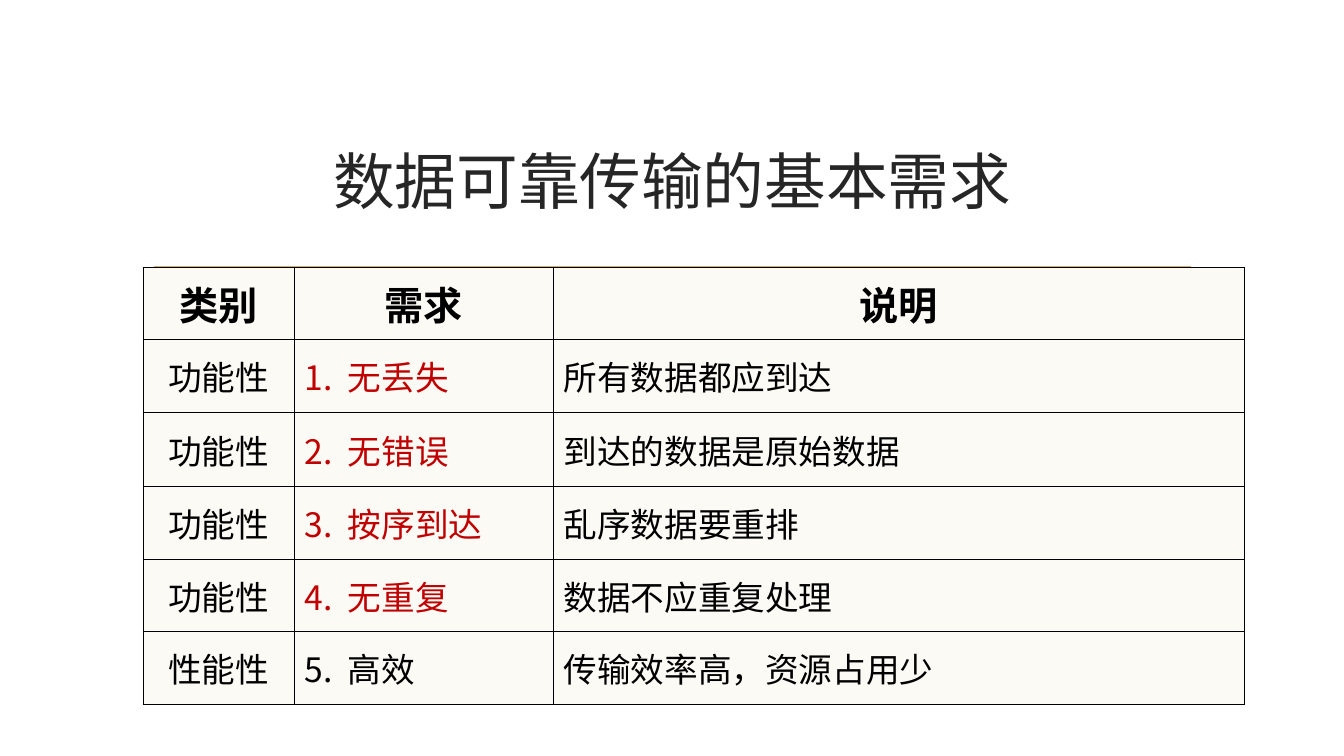
from dataclasses import dataclass

from lxml import etree
from pptx import Presentation
from pptx.dml.color import RGBColor
from pptx.enum.shapes import MSO_CONNECTOR
from pptx.enum.text import MSO_ANCHOR, PP_ALIGN
from pptx.oxml.ns import qn
from pptx.util import Inches, Pt

STRAIGHT = MSO_CONNECTOR.STRAIGHT
MIDDLE = MSO_ANCHOR.MIDDLE
CENTER, LEFT = PP_ALIGN.CENTER, PP_ALIGN.LEFT


@dataclass(frozen=True)
class Theme:
    font: str = "Noto Sans CJK SC"
    title: str = "262626"
    text: str = "000000"
    accent: str = "C00000"
    gold: str = "CBAF62"
    tint_percent: int = 6
    title_size: int = 44
    header_size: int = 28
    body_size: int = 24


THEME = Theme()

TITLE = "数据可靠传输的基本需求"
HEADER = ("类别", "需求", "说明")
REQUIREMENTS = [
    ("功能性", "无丢失", "所有数据都应到达"),
    ("功能性", "无错误", "到达的数据是原始数据"),
    ("功能性", "按序到达", "乱序数据要重排"),
    ("功能性", "无重复", "数据不应重复处理"),
    ("性能性", "高效", "传输效率高，资源占用少"),
]
COLUMN_WIDTHS = (1.5, 2.57, 6.85)
ROW_HEIGHTS = (0.72, 0.72, 0.74, 0.72, 0.72, 0.72)
NUMBER_TAB = 0.43


def write_text(tf, text, size, color=THEME.text, bold=False, align=LEFT, tab=None):
    """Fill the first paragraph of a text frame; tab is a tab stop in inches."""
    tf.word_wrap = True
    p = tf.paragraphs[0]
    p.alignment = align
    if tab:
        tabs = etree.SubElement(p._p.get_or_add_pPr(), qn("a:tabLst"))
        etree.SubElement(tabs, qn("a:tab"), pos=str(Inches(tab)), algn="l")
    r = p.add_run()
    r.text = text
    r.font.size = Pt(size)
    r.font.bold = bold
    r.font.color.rgb = RGBColor.from_string(color)
    r.font.name = THEME.font
    etree.SubElement(r._r.get_or_add_rPr(), qn("a:ea"), typeface=THEME.font)


def add_title(slide, text):
    sp = slide.shapes.add_textbox(Inches(1.42), Inches(1.07), Inches(10.5), Inches(1.43))
    sp.text_frame.vertical_anchor = MIDDLE
    write_text(sp.text_frame, text, THEME.title_size, color=THEME.title, align=CENTER)


def add_rule(slide):
    y = Inches(2.65)
    line = slide.shapes.add_connector(STRAIGHT, Inches(1.53), y, Inches(11.81), y)
    line.line.color.rgb = RGBColor.from_string(THEME.gold)
    line.line.width = Pt(1.25)
    etree.SubElement(line._element.spPr, qn("a:effectLst"))


def style_cell(cell):
    """Give a cell its translucent tint and thin borders."""
    cell.vertical_anchor = MIDDLE
    cell.fill.solid()
    cell.fill.fore_color.rgb = RGBColor.from_string(THEME.gold)
    tc_pr = cell._tc.get_or_add_tcPr()
    tint = tc_pr.find(".//" + qn("a:srgbClr"))
    etree.SubElement(tint, qn("a:alpha"), val=str(THEME.tint_percent * 1000))
    for i, side in enumerate(("lnL", "lnR", "lnT", "lnB")):
        border = etree.Element(qn(f"a:{side}"), w=str(Pt(1)))
        fill = etree.SubElement(border, qn("a:solidFill"))
        etree.SubElement(fill, qn("a:srgbClr"), val=THEME.text)
        tc_pr.insert(i, border)


def add_requirements_table(slide):
    table = slide.shapes.add_table(
        len(ROW_HEIGHTS), len(COLUMN_WIDTHS), Inches(1.42), Inches(2.65),
        Inches(sum(COLUMN_WIDTHS)), Inches(sum(ROW_HEIGHTS))).table
    table.horz_banding = False
    for column, width in zip(table.columns, COLUMN_WIDTHS):
        column.width = Inches(width)
    for row, height in zip(table.rows, ROW_HEIGHTS):
        row.height = Inches(height)
    for cell in table.iter_cells():
        style_cell(cell)

    for col, text in enumerate(HEADER):
        write_text(table.cell(0, col).text_frame, text, THEME.header_size,
                   bold=True, align=CENTER)
    for number, (category, need, detail) in enumerate(REQUIREMENTS, 1):
        category_tf, need_tf, detail_tf = (
            table.cell(number, col).text_frame for col in range(3))
        color = THEME.accent if category == "功能性" else THEME.text
        write_text(category_tf, category, THEME.body_size, align=CENTER)
        write_text(need_tf, f"{number}.\t{need}", THEME.body_size,
                   color=color, tab=NUMBER_TAB)
        write_text(detail_tf, detail, THEME.body_size)


def main():
    prs = Presentation()
    prs.slide_width, prs.slide_height = Inches(13.33), Inches(7.5)
    slide = prs.slides.add_slide(prs.slide_layouts[6])
    add_rule(slide)
    add_title(slide, TITLE)
    add_requirements_table(slide)
    prs.save("out.pptx")


if __name__ == "__main__":
    main()
